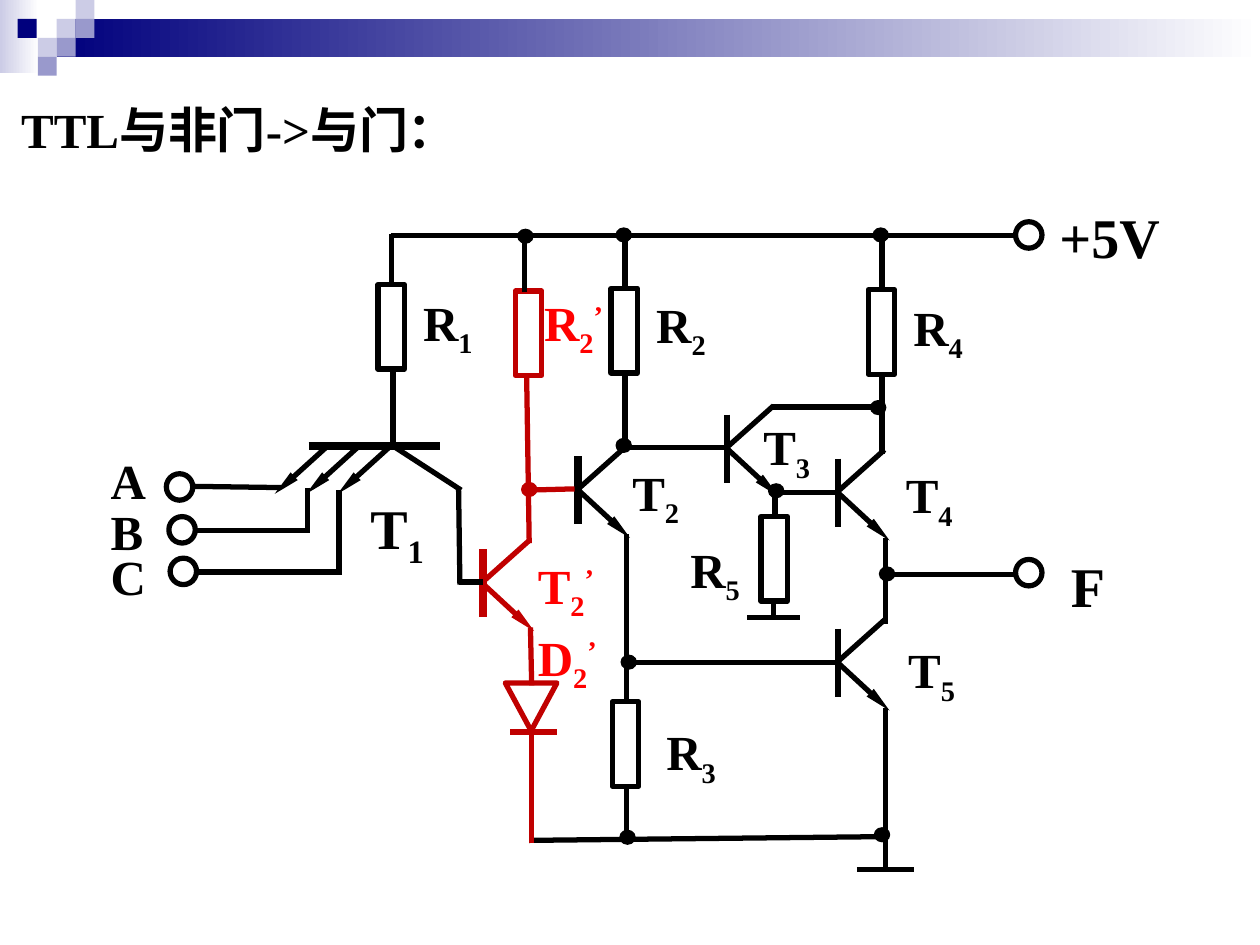
"""Build a slide showing how a TTL NAND gate circuit becomes an AND gate."""
from dataclasses import dataclass

import pptx
import pptx.dml.color
import pptx.enum.shapes
import pptx.oxml
import pptx.oxml.ns
import pptx.slide
import pptx.util
from pptx.util import Inches

SHAPES = pptx.enum.shapes.MSO_SHAPE
BLACK, DARK_RED, RED = "000000", "C00000", "FF0000"
NAVY, LAVENDER, VIOLET, WHITE = "00007D", "CCCCE6", "9999CC", "FFFFFF"


def color(value):
    return pptx.dml.color.RGBColor.from_string(value)


def add_xml(parent, tag, attributes=""):
    namespace = pptx.oxml.ns.nsdecls("a")
    parent.append(pptx.oxml.parse_xml(f"<a:{tag} {namespace} {attributes}/>"))


@dataclass
class Circuit:
    slide: pptx.slide.Slide
    font: str = "Times New Roman"
    wire_width: float = 3
    bar_width: float = 4.5
    text_size: int = 28

    def shape(self, kind, left, top, width, height, fill=None, line=None, line_width=None):
        shape = self.slide.shapes.add_shape(
            kind, Inches(left), Inches(top), Inches(width), Inches(height))
        shape.shadow.inherit = False
        if fill:
            shape.fill.solid()
            shape.fill.fore_color.rgb = color(fill)
        else:
            shape.fill.background()
        if line:
            shape.line.color.rgb = color(line)
            shape.line.width = pptx.util.Pt(line_width or self.wire_width)
        else:
            shape.line.fill.background()
        return shape

    def gradient(self, left, top, width, height, start):
        shape = self.shape(SHAPES.RECTANGLE, left, top, width, height)
        shape.fill.gradient()
        shape.fill.gradient_angle = 0
        for stop, value in zip(shape.fill.gradient_stops, (start, WHITE)):
            stop.color.rgb = color(value)

    def wire(self, x1, y1, x2, y2, line=BLACK, width=None, arrow=False):
        connector = self.slide.shapes.add_connector(
            pptx.enum.shapes.MSO_CONNECTOR.STRAIGHT,
            Inches(x1), Inches(y1), Inches(x2), Inches(y2))
        connector.line.color.rgb = color(line)
        connector.line.width = pptx.util.Pt(width or self.wire_width)
        if arrow:
            add_xml(connector.line._get_or_add_ln(), "tailEnd", 'type="triangle" w="sm" len="lg"')
        add_xml(connector._element.spPr, "effectLst")

    def resistor(self, left, top, line=BLACK):
        self.shape(SHAPES.RECTANGLE, left, top, 0.21, 0.67, line=line)

    def transistor(self, x, y, line=BLACK, bar_width=None):
        self.wire(x, y - 0.27, x, y + 0.27, line, bar_width)
        self.wire(x, y, x + 0.41, y + 0.38, line, arrow=True)
        self.wire(x, y - 0.01, x + 0.37, y - 0.34, line)

    def terminal(self, left, top):
        self.shape(SHAPES.OVAL, left, top, 0.21, 0.21, line=BLACK)

    def junction(self, left, top, fill=BLACK):
        self.shape(SHAPES.OVAL, left, top, 0.12, 0.11, fill, fill, 0.75)

    def diode(self, left, top, line):
        triangle = self.shape(SHAPES.ISOSCELES_TRIANGLE, left, top, 0.41, 0.38, line=line)
        triangle.rotation = 180
        self.wire(left + 0.41, top + 0.39, left + 0.04, top + 0.39, line)

    def label(self, left, top, text, subscript="", prime="", size=None, fill=BLACK, width=1.15):
        size = size or self.text_size
        box = self.slide.shapes.add_textbox(
            Inches(left), Inches(top), Inches(width), Inches(size / 50))
        box.text_frame.word_wrap = True
        paragraph = box.text_frame.paragraphs[0]
        paragraph.space_before = pptx.util.Pt(3)
        paragraph.font.name = self.font
        paragraph.font.size = pptx.util.Pt(size)
        paragraph.font.bold = True
        paragraph.font.color.rgb = color(fill)
        for part, baseline in ((text, 0), (subscript, -25000), (prime, 30000)):
            if part:
                run = paragraph.add_run()
                run.text = part
                if baseline:
                    run._r.get_or_add_rPr().set("baseline", str(baseline))


def draw_header(circuit):
    circuit.gradient(0, 0, 0.31, 0.58, LAVENDER)
    circuit.gradient(0.45, 0.15, 9.55, 0.3, NAVY)
    for left, top, fill in (
            (0.45, 0.15, LAVENDER), (0.6, 0, LAVENDER), (0.6, 0.15, VIOLET),
            (0.3, 0.3, LAVENDER), (0.14, 0.15, NAVY), (0.45, 0.3, VIOLET),
            (0.3, 0.45, VIOLET)):
        circuit.shape(SHAPES.RECTANGLE, left, top, 0.15, 0.15, fill)
    circuit.label(0.07, 0.74, "TTL与非门->与门：", width=4.04)


def draw_gate(circuit):
    circuit.wire(2.45, 3.54, 3.49, 3.54, width=circuit.bar_width)
    for x in (2.6, 2.85, 3.1):
        circuit.wire(x, 3.54, x - 0.42, 3.92, arrow=True)
    circuit.transistor(4.59, 3.89, bar_width=circuit.bar_width)
    for x, y in ((5.77, 3.56), (6.65, 3.91), (6.65, 5.26)):
        circuit.transistor(x, y)
    for left, top in ((3, 2.26), (4.85, 2.29), (6.89, 2.3), (6.04, 4.1), (4.86, 5.57)):
        circuit.resistor(left, top)
    for ends in (
            (3.1, 1.87, 8.07, 1.87), (3.11, 2.25, 3.11, 1.86), (4.96, 2.29, 4.96, 1.86),
            (7, 2.31, 7, 1.87), (3.12, 3.54, 3.12, 2.95), (3.12, 3.54, 3.66, 3.89),
            (3.64, 3.89, 3.65, 4.64), (4.96, 3.55, 4.96, 2.96), (5.77, 3.55, 4.96, 3.55),
            (6.13, 3.91, 6.65, 3.91), (6.13, 3.23, 7, 3.23), (7, 3.6, 7, 2.97),
            (6.15, 3.89, 6.15, 4.1), (6.14, 4.76, 6.14, 4.91), (5.93, 4.9, 6.35, 4.9),
            (4.97, 4.24, 4.97, 5.57), (6.64, 5.26, 4.97, 5.26), (4.97, 6.23, 4.97, 6.68),
            (4.2, 6.67, 7.03, 6.64), (7.03, 4.27, 7.03, 4.95), (7.03, 5.62, 7.03, 6.91),
            (6.8, 6.9, 7.25, 6.9), (7.03, 4.56, 8.07, 4.56), (2.23, 3.87, 1.53, 3.86),
            (2.44, 3.87, 2.44, 4.23), (2.44, 4.21, 1.55, 4.21), (2.69, 3.89, 2.69, 4.56),
            (2.71, 4.54, 1.57, 4.54)):
        circuit.wire(*ends)
    for left, top in ((8.06, 1.76), (8.06, 4.44), (1.32, 3.76), (1.34, 4.1), (1.35, 4.43)):
        circuit.terminal(left, top)


def draw_added_stage(circuit):
    circuit.transistor(3.83, 4.63, DARK_RED, circuit.bar_width)
    circuit.resistor(4.09, 2.31, DARK_RED)
    for ends in (
            (4.2, 4.31, 4.18, 3), (4.21, 4.98, 4.22, 5.44),
            (4.22, 5.81, 4.22, 6.69), (4.56, 3.88, 4.19, 3.89)):
        circuit.wire(*ends, DARK_RED)
    circuit.wire(4.16, 2.32, 4.16, 1.89)
    circuit.wire(3.83, 4.62, 3.64, 4.62)
    circuit.diode(4.01, 5.42, DARK_RED)


def draw_junctions(circuit):
    for left, top in (
            (6.94, 6.57), (6.98, 4.5), (6.93, 1.81), (4.11, 1.82), (6.91, 3.18),
            (4.89, 1.81), (4.89, 3.48), (4.93, 5.2), (6.1, 3.84), (4.92, 6.59)):
        circuit.junction(left, top)
    circuit.junction(4.14, 3.83, DARK_RED)


def draw_labels(circuit):
    circuit.label(8.31, 1.56, "+5V", size=32, width=1.38)
    circuit.label(8.4, 4.33, "F", size=32)
    circuit.label(2.84, 3.87, "T", "1", size=32)
    for left, top, *parts in (
            (3.26, 2.27, "R", "1"), (5.11, 2.29, "R", "2"), (5.19, 5.68, "R", "3"),
            (7.15, 2.31, "R", "4"), (5.38, 4.23, "R", "5"), (4.92, 3.62, "T", "2"),
            (5.96, 3.26, "T", "3"), (7.09, 3.64, "T", "4"), (7.11, 5.03, "T", "5"),
            (0.78, 3.53, "A"), (0.78, 3.93, "B"), (0.78, 4.29, "C")):
        circuit.label(left, top, *parts)
    for left, top, letter in ((4.17, 4.36, "T"), (4.22, 2.27, "R"), (4.17, 4.93, "D")):
        circuit.label(left, top, letter, "2", "’", fill=RED)


def main():
    presentation = pptx.Presentation()
    presentation.slide_width = Inches(10)
    presentation.slide_height = Inches(7.5)
    circuit = Circuit(presentation.slides.add_slide(presentation.slide_layouts[6]))
    draw_header(circuit)
    draw_gate(circuit)
    draw_added_stage(circuit)
    draw_junctions(circuit)
    draw_labels(circuit)
    presentation.save("out.pptx")


if __name__ == "__main__":
    main()
